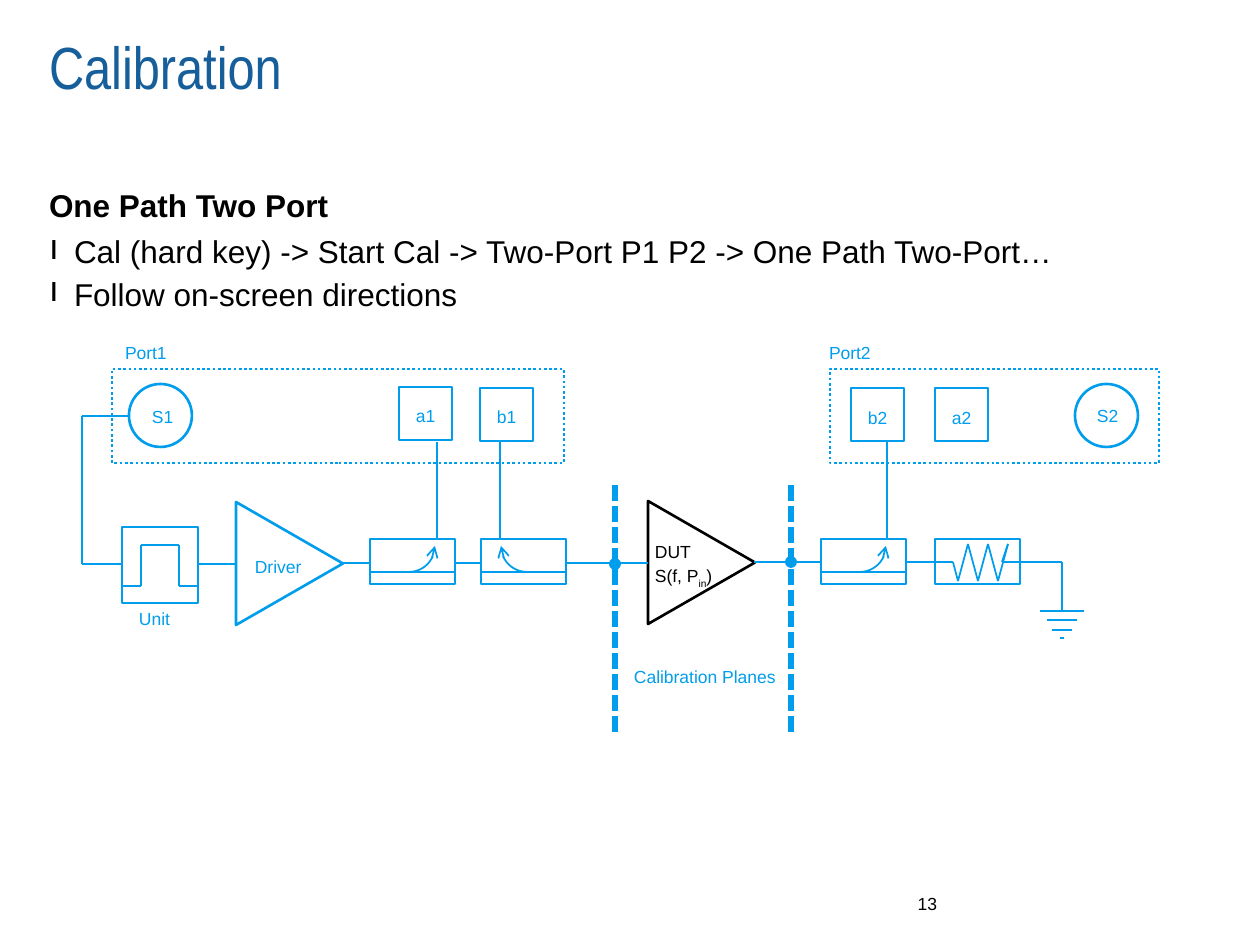
from lxml import etree
from pptx import Presentation
from pptx.dml.color import RGBColor
from pptx.enum.dml import MSO_LINE
from pptx.enum.shapes import MSO_CONNECTOR, MSO_SHAPE
from pptx.enum.text import MSO_ANCHOR, MSO_AUTO_SIZE, PP_ALIGN
from pptx.oxml.ns import qn
from pptx.util import Emu, Pt

STRAIGHT = MSO_CONNECTOR.STRAIGHT
RECTANGLE, OVAL = MSO_SHAPE.RECTANGLE, MSO_SHAPE.OVAL
TRIANGLE, ARC = MSO_SHAPE.ISOSCELES_TRIANGLE, MSO_SHAPE.ARC
DOTTED, DASHED = MSO_LINE.ROUND_DOT, MSO_LINE.SQUARE_DOT
TOP, BOTTOM = MSO_ANCHOR.TOP, MSO_ANCHOR.BOTTOM
LEFT, RIGHT = PP_ALIGN.LEFT, PP_ALIGN.RIGHT

PX_PER_INCH = 126
BLUE, BLACK, WHITE, TITLE_BLUE = "009DEC", "000000", "FFFFFF", "165F9A"


def px(length):
    return Emu(round(length * 914400 / PX_PER_INCH))


def color(hex_string):
    return RGBColor.from_string(hex_string)


def write_text(shape, paragraphs, size=10, font="Arial", fill=BLACK, bold=False,
               align=LEFT, anchor=TOP, insets=(0, 0, 0, 0), spacing=None,
               after=0, bullet=None):
    """Each paragraph is a string or a list of (text, baseline) pieces."""
    frame = shape.text_frame
    frame.word_wrap = True
    frame.auto_size = MSO_AUTO_SIZE.NONE
    frame.vertical_anchor = anchor
    (frame.margin_left, frame.margin_top,
     frame.margin_right, frame.margin_bottom) = map(px, insets)
    for index, pieces in enumerate(paragraphs):
        paragraph = frame.add_paragraph() if index else frame.paragraphs[0]
        paragraph.alignment = align
        paragraph.space_before, paragraph.space_after = Pt(0), Pt(after)
        if spacing:
            paragraph.line_spacing = spacing
        if bullet:
            add_bullet(paragraph, bullet)
        for text, baseline in [(pieces, 0)] if isinstance(pieces, str) else pieces:
            if text == "\n":
                paragraph.add_line_break()
                continue
            run = paragraph.add_run()
            run.text = text
            run.font.size, run.font.name, run.font.bold = Pt(size), font, bold
            run.font.color.rgb = color(fill)
            if baseline:
                run.font._element.set("baseline", str(baseline))


def add_bullet(paragraph, character):
    properties = paragraph._p.get_or_add_pPr()
    properties.set("marL", str(px(25)))
    properties.set("indent", str(-px(25)))
    etree.SubElement(properties, qn("a:buSzPct")).set("val", "110000")
    etree.SubElement(properties, qn("a:buChar")).set("char", character)


def add_text(slide, left, top, width, height, paragraphs, **text_format):
    box = slide.shapes.add_textbox(px(left), px(top), px(width), px(height))
    write_text(box, paragraphs, **text_format)


def add_label(slide, left, top, text, width=50, height=35, fill=BLUE):
    add_text(slide, left, top, width, height, [text], fill=fill,
             insets=(13, 6, 0, 6), spacing=1.12, after=6)


def add_outline(slide, kind, left, top, width, height, line=BLUE, weight=1.5,
                fill=None, dash=None, rotation=0):
    shape = slide.shapes.add_shape(kind, px(left), px(top), px(width), px(height))
    shape.shadow.inherit = False
    shape.rotation = rotation
    if fill:
        shape.fill.solid()
        shape.fill.fore_color.rgb = color(fill)
    else:
        shape.fill.background()
    if line:
        shape.line.color.rgb = color(line)
        shape.line.width = Pt(weight)
        if dash:
            shape.line.dash_style = dash
    else:
        shape.line.fill.background()
    return shape


def add_wire(slide, *points, weight=1.5, dash=None):
    """Join consecutive points with straight connectors."""
    for start, end in zip(points, points[1:]):
        wire = slide.shapes.add_connector(STRAIGHT, *map(px, start + end))
        wire.line.color.rgb = color(BLUE)
        wire.line.width = Pt(weight)
        if dash:
            wire.line.dash_style = dash
        etree.SubElement(wire._element.spPr, qn("a:effectLst"))


def add_coupler(slide, left, tap, mirrored=False):
    add_outline(slide, RECTANGLE, left, 539, 85, 45)
    add_wire(slide, (left, 572), (left + 85, 572), weight=1)
    arc = add_outline(slide, ARC, left + (20 if mirrored else 13), 520, 52, 52, weight=1)
    transform = arc._element.spPr.find(qn("a:xfrm"))
    transform.set("flipV", "1")
    if mirrored:
        transform.set("flipH", "1")
    outline = arc._element.spPr.find(qn("a:ln"))
    etree.SubElement(outline, qn("a:tailEnd")).set("type", "arrow")
    add_wire(slide, (tap, 442), (tap, 539))


def add_ports(slide):
    for name, label_left, left, width in (("Port1", 112, 112, 452),
                                          ("Port2", 816, 830, 329)):
        add_outline(slide, RECTANGLE, left, 369, width, 94, dash=DOTTED)
        add_label(slide, label_left, 334, name, width=79)
    for name, left, label_left, label_top in (("S1", 129, 139, 398),
                                              ("S2", 1075, 1084, 397)):
        add_outline(slide, OVAL, left, 384, 63, 63)
        add_label(slide, label_left, label_top, name)
    for name, left, top, label_top in (("a1", 399, 387, 397), ("b1", 480, 388, 398),
                                       ("b2", 851, 388, 399), ("a2", 935, 388, 399)):
        add_outline(slide, RECTANGLE, left, top, 53, 53)
        add_label(slide, left + 4, label_top, name)


def add_amplifiers(slide):
    add_outline(slide, TRIANGLE, 640, 509, 123, 107, line=BLACK, fill=WHITE, rotation=90)
    add_label(slide, 642, 533,
              [("DUT", 0), ("\n", 0), ("S(f, P", 0), ("in", -25000), (")", 0)],
              width=102, height=60, fill=BLACK)
    add_outline(slide, TRIANGLE, 228, 510, 123, 107, fill=WHITE, rotation=90)
    add_label(slide, 242, 548, "Driver", width=73, height=30)


def add_filter(slide):
    add_outline(slide, RECTANGLE, 122, 527, 76, 76)
    add_wire(slide, (122, 586), (141, 586), (141, 545), (179, 545),
             (179, 586), (198, 586))
    add_label(slide, 126, 600, "Unit", width=79)


def add_termination(slide):
    add_outline(slide, RECTANGLE, 935, 539, 85, 45)
    peaks = [(958 + 10 * step, 544 if step % 2 else 581) for step in range(6)]
    add_wire(slide, (935, 562), (953, 562), *peaks, (1002, 562), (1020, 562), weight=1)
    add_wire(slide, (1020, 562), (1062, 562), (1062, 611))
    # Ground symbol: bars shrinking downwards
    for half_width, y, weight in ((22, 611, 1.5), (15, 620, 1), (10, 630, 1), (2, 638, 1)):
        add_wire(slide, (1062 - half_width, y), (1062 + half_width, y), weight=weight)


def add_signal_path(slide):
    add_wire(slide, (129, 416), (82, 416), (82, 564), (122, 564))
    for start, end, y in ((198, 237, 564), (343, 370, 563), (455, 481, 563),
                          (566, 648, 563), (754, 821, 562), (906, 935, 562)):
        add_wire(slide, (start, y), (end, y))


def add_calibration_planes(slide):
    for x, y in ((615, 564), (791, 562)):
        add_wire(slide, (x, 485), (x, 736), weight=3, dash=DASHED)
        add_outline(slide, OVAL, x - 6, y - 6, 12, 12, line=None, fill=BLUE)
    add_label(slide, 621, 658, "Calibration Planes", width=175, height=40)


def main():
    presentation = Presentation()
    presentation.slide_width, presentation.slide_height = px(1260), px(945)
    slide = presentation.slides.add_slide(presentation.slide_layouts[5])

    # Title and text
    title = slide.shapes.title
    title.left, title.top, title.width, title.height = map(px, (49, 30, 1142, 149))
    write_text(title, ["Calibration"], size=34, font="Arial Narrow", fill=TITLE_BLUE)
    add_text(slide, 49, 189, 1142, 35, ["One Path Two Port"], size=18, bold=True,
             anchor=BOTTOM)
    add_text(slide, 49, 228, 1142, 605,
             ["Cal (hard key) -> Start Cal -> Two-Port P1 P2 -> One Path Two-Port…",
              "Follow on-screen directions"],
             size=18, spacing=1.12, bullet="ı")
    add_text(slide, 868, 893, 69, 25, ["13"], align=RIGHT)

    # Measurement diagram
    add_amplifiers(slide)
    add_ports(slide)
    add_filter(slide)
    add_coupler(slide, 370, tap=437)
    add_coupler(slide, 481, tap=500, mirrored=True)
    add_coupler(slide, 821, tap=887)
    add_signal_path(slide)
    add_termination(slide)
    add_calibration_planes(slide)

    presentation.save("out.pptx")


if __name__ == "__main__":
    main()
